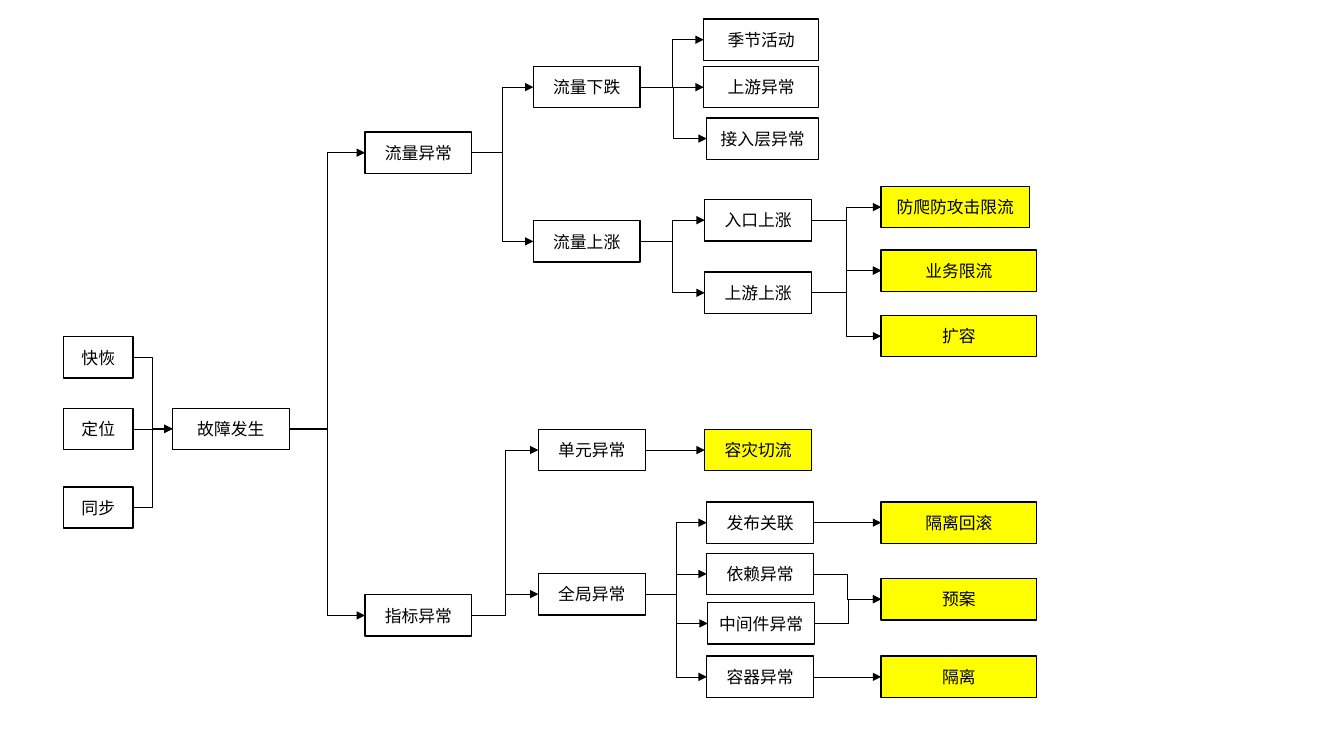
from lxml.etree import SubElement
from pptx import Presentation
from pptx.dml.color import RGBColor
from pptx.enum.shapes import MSO_CONNECTOR, MSO_SHAPE
from pptx.enum.text import MSO_ANCHOR, PP_ALIGN
from pptx.oxml.ns import qn
from pptx.util import Inches, Pt

FONT = "Noto Sans CJK SC"
BLACK, YELLOW = "000000", "FFFF00"
BOX_HEIGHT = 0.41
RIGHT_SITE, LEFT_SITE = 3, 1

CAUSES = [
    (0.63, 0.69, [("快恢", 3.34), ("定位", 4.05), ("同步", 4.83)]),
    (1.71, 1.16, [("故障发生", 4.05)]),
    (3.62, 1.06, [("流量异常", 1.31), ("指标异常", 5.9)]),
    (5.29, 1.06, [("流量下跌", 0.66), ("流量上涨", 2.19)]),
    (5.34, 1.06, [("单元异常", 4.26), ("全局异常", 5.69)]),
    (6.98, 1.14, [("季节活动", 0.19), ("上游异常", 0.66)]),
    (7.01, 1.11, [("接入层异常", 1.17)]),
    (6.99, 1.06, [("入口上涨", 1.98), ("上游上涨", 2.7)]),
    (7.01, 1.06, [("发布关联", 4.98), ("依赖异常", 5.49), ("容器异常", 6.51)]),
    (7.02, 1.06, [("中间件异常", 5.98)]),
]
REMEDIES = [
    (6.99, 1.06, [("容灾切流", 4.26)]),
    (8.74, 1.47, [("防爬防攻击限流", 1.85)]),
    (8.74, 1.54, [("业务限流", 2.48), ("扩容", 3.13), ("隔离回滚", 4.98),
                  ("预案", 5.74), ("隔离", 6.51)]),
]
FLOWS = {
    "快恢": ["故障发生"],
    "定位": ["故障发生"],
    "同步": ["故障发生"],
    "故障发生": ["流量异常", "指标异常"],
    "流量异常": ["流量下跌", "流量上涨"],
    "流量下跌": ["季节活动", "上游异常", "接入层异常"],
    "流量上涨": ["入口上涨", "上游上涨"],
    "入口上涨": ["防爬防攻击限流", "业务限流"],
    "上游上涨": ["业务限流", "扩容"],
    "指标异常": ["单元异常", "全局异常"],
    "单元异常": ["容灾切流"],
    "全局异常": ["发布关联", "依赖异常", "中间件异常", "容器异常"],
    "发布关联": ["隔离回滚"],
    "依赖异常": ["预案"],
    "中间件异常": ["预案"],
    "容器异常": ["隔离"],
}
FRAME_FORMAT = {"word_wrap": True, "vertical_anchor": MSO_ANCHOR.MIDDLE,
                "margin_left": Inches(0.05), "margin_right": Inches(0.05),
                "margin_top": 0, "margin_bottom": 0}
FONT_FORMAT = {"name": FONT, "size": Pt(12), "bold": False}


def color(hex_value):
    return RGBColor.from_string(hex_value)


def apply_format(target, values):
    for name, value in values.items():
        setattr(target, name, value)


def add_step(slide, label, left, top, width, fill):
    step = slide.shapes.add_shape(MSO_SHAPE.RECTANGLE, Inches(left), Inches(top),
                                  Inches(width), Inches(BOX_HEIGHT))
    step.shadow.inherit = False
    if fill:
        step.fill.solid()
        step.fill.fore_color.rgb = color(fill)
    else:
        step.fill.background()
    step.line.color.rgb = color(BLACK)
    step.line.width = Pt(1)
    apply_format(step.text_frame, FRAME_FORMAT)
    paragraph = step.text_frame.paragraphs[0]
    paragraph.alignment = PP_ALIGN.CENTER
    run = paragraph.add_run()
    run.text = label
    apply_format(run.font, FONT_FORMAT)
    run.font.color.rgb = color(BLACK)
    SubElement(run.font._element, qn("a:ea"), typeface=FONT)
    return step


def add_flow(slide, source, target):
    kind = MSO_CONNECTOR.STRAIGHT if source.top == target.top else MSO_CONNECTOR.ELBOW
    flow = slide.shapes.add_connector(kind, 0, 0, 0, 0)
    flow.begin_connect(source, RIGHT_SITE)
    flow.end_connect(target, LEFT_SITE)
    flow.line.color.rgb = color(BLACK)
    flow.line.width = Pt(0.5)
    properties = flow._element.spPr
    SubElement(properties.find(qn("a:ln")), qn("a:tailEnd"), type="triangle")
    SubElement(properties, qn("a:effectLst"))


def main():
    deck = Presentation()
    deck.slide_width, deck.slide_height = Inches(13.33), Inches(7.5)
    slide = deck.slides.add_slide(deck.slide_layouts[6])
    steps = {}
    for columns, fill in ((CAUSES, None), (REMEDIES, YELLOW)):
        for left, width, entries in columns:
            for label, top in entries:
                steps[label] = add_step(slide, label, left, top, width, fill)
    for source, targets in FLOWS.items():
        for target in targets:
            add_flow(slide, steps[source], steps[target])
    deck.save("out.pptx")


if __name__ == "__main__":
    main()
